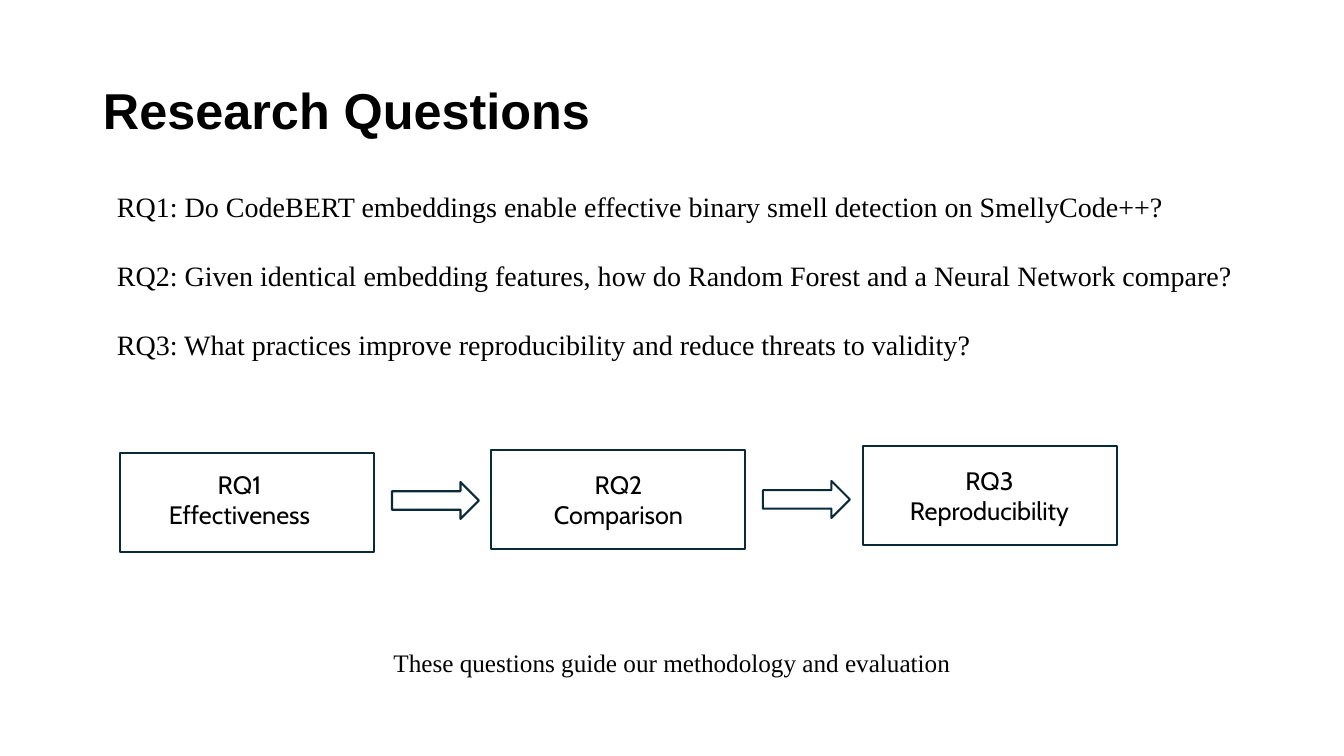
from pptx import Presentation
from pptx import util as u
from pptx.dml.color import RGBColor
from pptx.enum import shapes, text

PX = 914400 / 100.8
BLACK = RGBColor(0, 0, 0)
WHITE = RGBColor(255, 255, 255)
NAVY = RGBColor(0x09, 0x2A, 0x39)

deck = Presentation()
deck.slide_width = round(1344 * PX)
deck.slide_height = round(756 * PX)
slide = deck.slides.add_slide(deck.slide_layouts[6])


def write(box, lines, font, para):
    frame = slide.shapes.add_textbox(*[round(n * PX) for n in box]).text_frame
    frame.word_wrap = True
    for i, line in enumerate(lines):
        p = frame.paragraphs[0] if i == 0 else frame.add_paragraph()
        p.text = line
        p.font.color.rgb = BLACK
        for key, val in font.items():
            setattr(p.font, key, val)
        for key, val in para.items():
            if i or key != "space_before":
                setattr(p, key, val)
    return frame


def draw(kind, box):
    shape = slide.shapes.add_shape(kind, *[round(n * PX) for n in box])
    shape.shadow.inherit = False
    shape.fill.solid()
    shape.fill.fore_color.rgb = WHITE
    shape.line.color.rgb = NAVY
    shape.line.width = u.Pt(1.5)


title = write((93, 40, 1159, 146), ["Research Questions"],
              {"name": "Arial", "size": u.Pt(36), "bold": True},
              {"line_spacing": 0.9})
title.vertical_anchor = text.MSO_ANCHOR.MIDDLE

asks = [
    "RQ1: Do CodeBERT embeddings enable effective binary smell detection on SmellyCode++?",
    "RQ2: Given identical embedding features, how do Random Forest and a Neural Network compare?",
    "RQ3: What practices improve reproducibility and reduce threats to validity?",
]
write((107, 185, 1180, 214), asks,
      {"name": "Times New Roman", "size": u.Pt(20)},
      {"space_before": u.Pt(25)})

mid = {"alignment": text.PP_ALIGN.CENTER}
label = {"name": "Cabin", "size": u.Pt(18)}
steps = [
    ("Effectiveness", 120, 453, 128, 464),
    ("Comparison", 491, 450, 507, 464),
    ("Reproducibility", 863, 446, 878, 460),
]
for i, (topic, left, top, x, y) in enumerate(steps, 1):
    draw(shapes.MSO_SHAPE.RECTANGLE, (left, top, 254, 99))
    write((x, y, 223, 72), [f"RQ{i}", topic], label, mid)

for left, top in [(392, 482), (763, 481)]:
    draw(shapes.MSO_SHAPE.RIGHT_ARROW, (left, top, 87, 37))

write((126, 642, 1092, 40),
      ["These questions guide our methodology and evaluation"],
      {"name": "Times New Roman", "size": u.Pt(18)}, mid)

deck.save("out.pptx")
